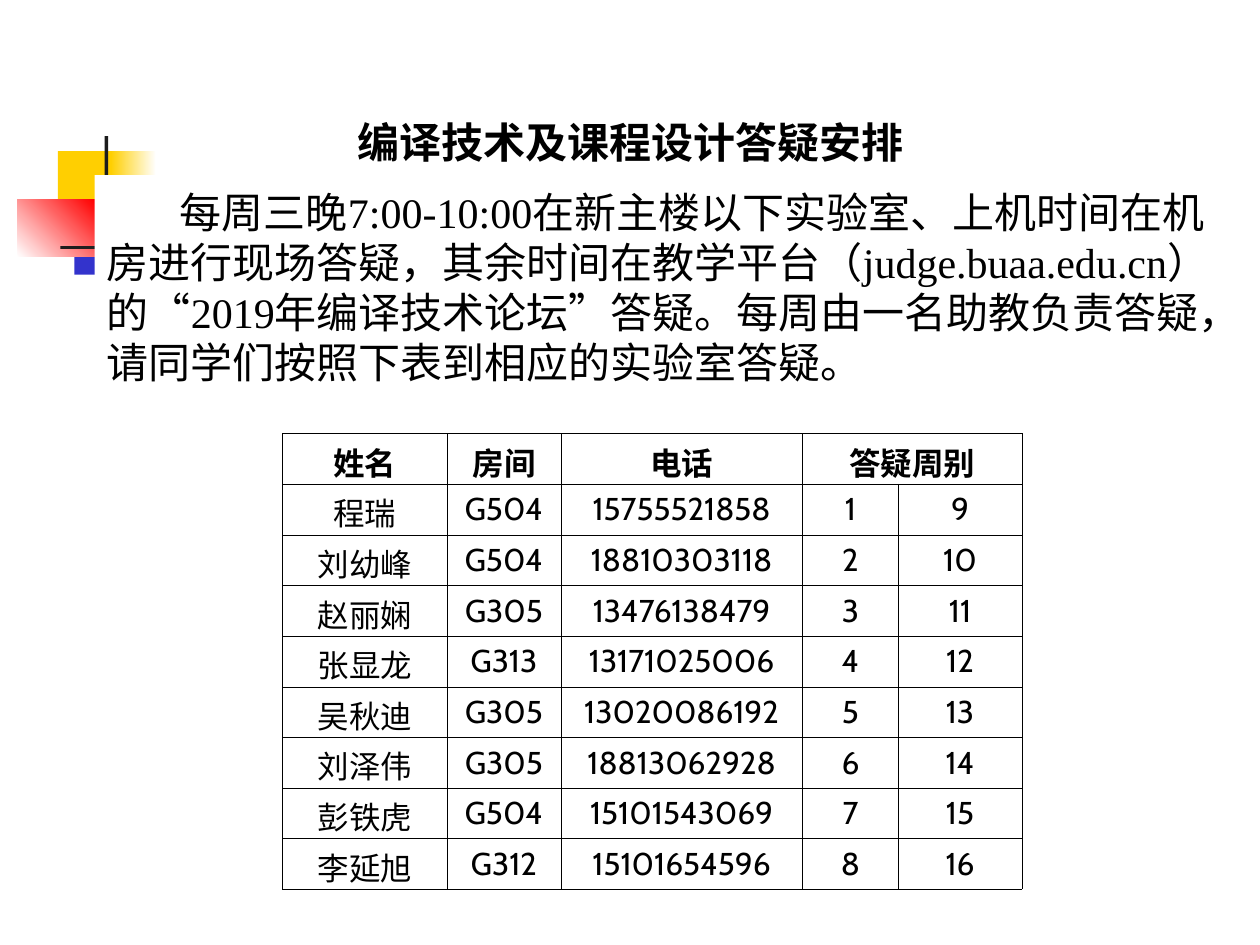
from lxml import etree
from pptx import Presentation
from pptx.dml.color import RGBColor as RGB
from pptx.enum.shapes import MSO_SHAPE as Kind
from pptx.enum.text import MSO_ANCHOR as Anchor, PP_ALIGN as Align
from pptx.oxml.ns import qn
from pptx.util import Inches, Pt

INK = {"black": "000000", "white": "FFFFFF", "gold": "FFCF01",
       "blue": "3333CC", "red": "FF0000", "dark": "1C1C1C"}
SANS = "Noto Sans CJK SC"
SERIF = "Times New Roman"

deck = Presentation()
deck.slide_width, deck.slide_height = Inches(10), Inches(7.5)
slide = deck.slides.add_slide(deck.slide_layouts[6])
shapes = slide.shapes


def block(left, top, width, height, tones, angle=0):
    box = shapes.add_shape(Kind.RECTANGLE, Inches(left), Inches(top),
                           Inches(width), Inches(height))
    box.shadow.inherit = False
    box.line.fill.background()
    if len(tones) == 1:
        box.fill.solid()
        box.fill.fore_color.rgb = RGB.from_string(INK[tones[0]])
    else:
        box.fill.gradient()
        box.fill.gradient_angle = angle
        for stop, tone, place in zip(box.fill.gradient_stops, tones, (0, 1)):
            stop.color.rgb = RGB.from_string(INK[tone])
            stop.position = place
    return box


def write(frame, text, size, face, bold=False, pitch=None):
    frame.text = text
    para = frame.paragraphs[0]
    if pitch:
        para.line_spacing = Pt(pitch)
    run = para.runs[0]
    run.font.size, run.font.bold, run.font.name = Pt(size), bold, face
    run.font.color.rgb = RGB.from_string(INK["black"])
    props = run.font._element
    props.set("lang", "zh-CN")
    props.find(qn("a:latin")).addnext(
        etree.Element(qn("a:ea"), typeface=SANS))
    return para


block(0.46, 1.2, 0.48, 0.52, ["gold"])
block(0.88, 1.2, 0.36, 0.52, ["gold", "white"])
block(0.59, 1.66, 0.46, 0.52, ["blue"])
block(0.14, 1.58, 0.61, 0.46, ["white", "red"], 45)
block(0.83, 1.08, 0.03, 1.15, ["dark"])
block(0.48, 1.95, 9, 0.03, ["dark", "white"])

title = shapes.add_textbox(Inches(2.74), Inches(0.84), Inches(4.53), Inches(0.5))
title.text_frame.word_wrap = False
title.text_frame.margin_top = Inches(0.09)
write(title.text_frame, "编译技术及课程设计答疑安排", 24, SERIF, True, 28.7)

body = block(0.75, 1.39, 8.98, 2.1, ["white"])
frame = body.text_frame
frame.word_wrap = True
frame.vertical_anchor = Anchor.TOP
frame.margin_top = Inches(0.09)
frame.margin_bottom = 0
para = write(
    frame,
    "每周三晚7:00-10:00在新主楼以下实验室、上机时间在机房进行现场答疑，"
    "其余时间在教学平台（judge.buaa.edu.cn）的“2019年编译技术论坛”答疑。"
    "每周由一名助教负责答疑，请同学们按照下表到相应的实验室答疑。",
    24, SERIF, pitch=28.7)
para.alignment = Align.LEFT
para._p.get_or_add_pPr().set("indent", str(Inches(0.58)))

staff = [
    ("程瑞", "G504", "15755521858"),
    ("刘幼峰", "G504", "18810303118"),
    ("赵丽娴", "G305", "13476138479"),
    ("张显龙", "G313", "13171025006"),
    ("吴秋迪", "G305", "13020086192"),
    ("刘泽伟", "G305", "18813062928"),
    ("彭铁虎", "G504", "15101543069"),
    ("李延旭", "G312", "15101654596"),
]
rows = [("姓名", "房间", "电话", "答疑周别", "")]
rows += [(*who, str(week), str(week + 8)) for week, who in enumerate(staff, 1)]

table = shapes.add_table(len(rows), 5, Inches(2.24), Inches(3.44),
                         Inches(5.87), Inches(3.63)).table
table.first_row = table.horz_banding = False
for col, width in zip(table.columns, (1.31, 0.9, 1.92, 0.76, 0.98)):
    col.width = Inches(width)
for row in table.rows:
    row.height = Inches(0.4)
table.cell(0, 3).merge(table.cell(0, 4))

for i, row in enumerate(rows):
    for j, text in enumerate(row):
        cell = table.cell(i, j)
        cell.fill.background()
        cell.vertical_anchor = Anchor.MIDDLE
        cell.margin_left = cell.margin_right = Inches(0.09 if i and j > 2 else 0.01)
        han = i == 0 or j == 0
        cell.margin_top = Inches(0.11 if han else 0.05)
        cell.margin_bottom = Inches(0 if han else 0.05)
        if text:
            para = write(cell.text_frame, text, 18, SANS if han else "Cabin",
                         i == 0, 21 if han else None)
            para.alignment = Align.CENTER
        props = cell._tc.get_or_add_tcPr()
        for k, side in enumerate(("lnL", "lnR", "lnT", "lnB")):
            line = etree.Element(qn("a:" + side), w=str(Pt(0.23)))
            fill = etree.SubElement(line, qn("a:solidFill"))
            etree.SubElement(fill, qn("a:srgbClr"), val=INK["black"])
            props.insert(k, line)

deck.save("out.pptx")
